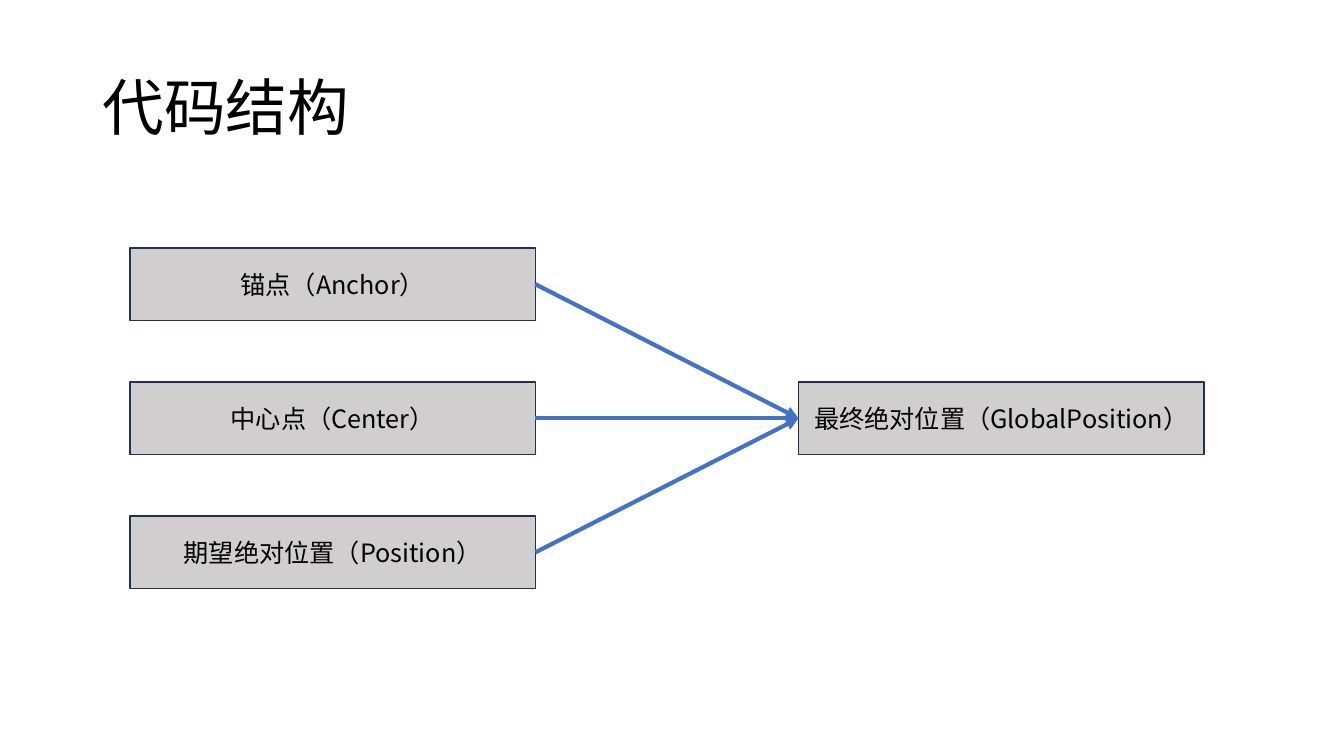
from lxml import etree
from pptx import Presentation
from pptx.dml.color import RGBColor
from pptx.enum.shapes import MSO_CONNECTOR, MSO_SHAPE
from pptx.enum.text import MSO_ANCHOR, PP_ALIGN
from pptx.oxml.ns import qn
from pptx.util import Inches, Pt

RECT = MSO_SHAPE.RECTANGLE
STRAIGHT = MSO_CONNECTOR.STRAIGHT
MIDDLE = MSO_ANCHOR.MIDDLE
LEFT, CENTER = PP_ALIGN.LEFT, PP_ALIGN.CENTER
RIGHT_SITE, LEFT_SITE = 3, 1


def color(value):
    return RGBColor.from_string(value)


class Diagram:
    """Holds the style and the slide; boxes sit on a grid of columns and rows."""
    font = "Noto Sans CJK SC"
    text, fill, border, arrow_color = "000000", "D0CECE", "1E3256", "4472C4"
    left, top = 1.29, 2.46
    col_step, row_step = 6.63, 1.33
    box_w, box_h = 4.02, 0.72

    def __init__(self, prs):
        self.slide = prs.slides.add_slide(prs.slide_layouts[6])
        self.shapes = self.slide.shapes

    def add_text(self, sp, text, size, align):
        tf = sp.text_frame
        tf.word_wrap = True
        tf.vertical_anchor = MIDDLE
        p = tf.paragraphs[0]
        p.alignment = align
        r = p.add_run()
        r.text = text
        r.font.size = Pt(size)
        r.font.color.rgb = color(self.text)
        r.font.name = self.font
        r_pr = r._r.find(qn("a:rPr"))
        etree.SubElement(r_pr, qn("a:ea"), typeface=self.font)
        return p

    def title(self, text):
        sp = self.shapes.add_textbox(Inches(0.92), Inches(0.37),
                                     Inches(11.5), Inches(1.45))
        self.add_text(sp, text, 44, LEFT).line_spacing = 0.9

    def box(self, col, row, text):
        sp = self.shapes.add_shape(
            RECT, Inches(self.left + col * self.col_step),
            Inches(self.top + row * self.row_step),
            Inches(self.box_w), Inches(self.box_h))
        sp.shadow.inherit = False
        sp.fill.solid()
        sp.fill.fore_color.rgb = color(self.fill)
        sp.line.color.rgb = color(self.border)
        sp.line.width = Pt(1)
        self.add_text(sp, text, 18, CENTER)
        return sp

    def arrow(self, source, target):
        """Join the right side of one box to the left side of another."""
        connector = self.shapes.add_connector(STRAIGHT, 0, 0, 0, 0)
        connector.begin_connect(source, RIGHT_SITE)
        connector.end_connect(target, LEFT_SITE)
        connector.line.color.rgb = color(self.arrow_color)
        connector.line.width = Pt(3)
        sp_pr = connector._element.spPr
        etree.SubElement(sp_pr.find(qn("a:ln")), qn("a:tailEnd"), type="triangle")
        etree.SubElement(sp_pr, qn("a:effectLst"))


def main():
    prs = Presentation()
    prs.slide_width, prs.slide_height = Inches(13.33), Inches(7.5)
    d = Diagram(prs)
    d.title("代码结构")
    inputs = ["锚点（Anchor）", "中心点（Center）", "期望绝对位置（Position）"]
    sources = [d.box(0, row, text) for row, text in enumerate(inputs)]
    result = d.box(1, 1, "最终绝对位置（GlobalPosition）")
    for source in sources:
        d.arrow(source, result)
    prs.save("out.pptx")


if __name__ == "__main__":
    main()
